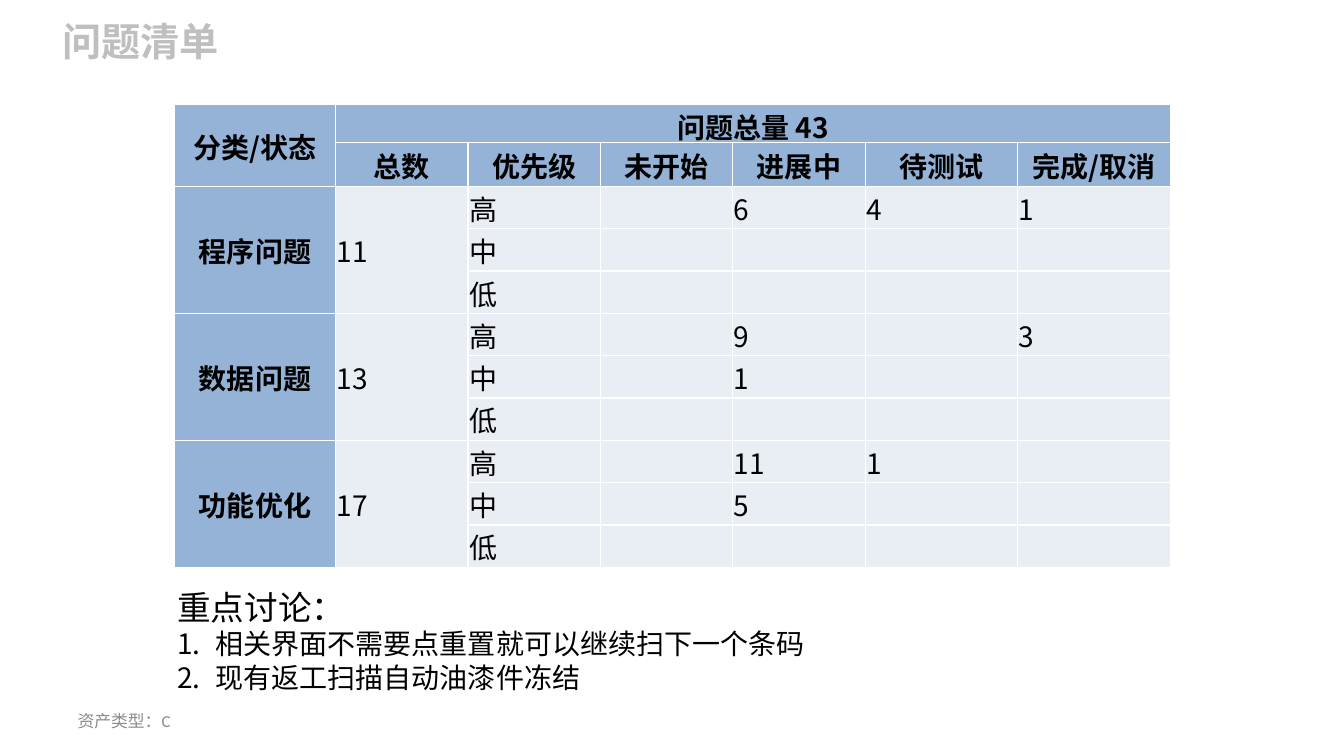
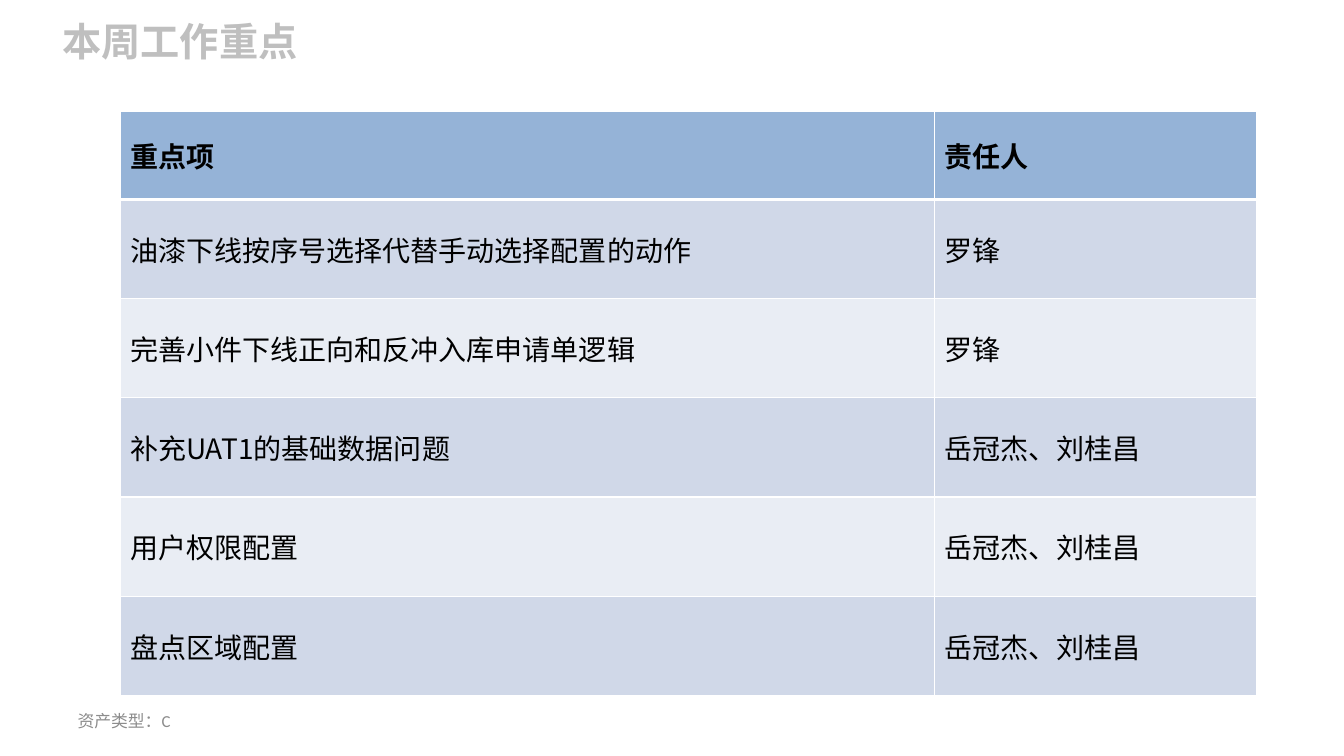
from pptx import Presentation
from pptx.dml.color import RGBColor
from pptx.enum.text import MSO_ANCHOR, MSO_AUTO_SIZE, PP_ALIGN
from pptx.oxml.ns import qn
from pptx.util import Inches, Pt
from lxml.etree import SubElement, Element

BLACK = RGBColor(0x00, 0x00, 0x00)
WHITE = RGBColor(0xFF, 0xFF, 0xFF)
TITLE_GRAY = RGBColor(0xBF, 0xBF, 0xBF)
FOOTER_GRAY = RGBColor(0x8C, 0x8C, 0x8C)
HEADER_BLUE = RGBColor(0x95, 0xB3, 0xD7)
BAND_DARK = RGBColor(0xD0, 0xD8, 0xE8)
BAND_LIGHT = RGBColor(0xE9, 0xED, 0xF4)
LATIN, CJK = "Calibri", "Noto Sans CJK SC"

TITLE = dict(size=Pt(28), name=LATIN, bold=True, color=TITLE_GRAY)
FOOTER = dict(size=Pt(12), name=LATIN, bold=False, color=FOOTER_GRAY)
HEADING = dict(size=Pt(24), name=CJK, bold=False, color=BLACK)
BODY = dict(HEADING, size=Pt(20))
STRONG = dict(BODY, bold=True)
TIGHT = dict(margin_left=Inches(0.01), margin_top=Inches(0.01),
             margin_right=Inches(0.01), margin_bottom=0)


def apply(target, values):
    for key, value in values.items():
        setattr(target, key, value)


class Deck:
    def __init__(self):
        self.prs = Presentation()
        self.prs.slide_width, self.prs.slide_height = Inches(13.33), Inches(7.5)
        self.s = None

    def x(self, percent):
        return int(self.prs.slide_width * percent / 100)

    def y(self, percent):
        return int(self.prs.slide_height * percent / 100)

    def box(self, left, top, width, height):
        return self.x(left), self.y(top), self.x(width), self.y(height)

    def run(self, p, text, style):
        r = p.add_run()
        r.text = text
        for key, value in style.items():
            if key == "color":
                r.font.color.rgb = value
            else:
                setattr(r.font, key, value)
        SubElement(r.font._element, qn("a:ea"), typeface=CJK)

    def slide(self, title):
        self.s = self.prs.slides.add_slide(self.prs.slide_layouts[5])
        sp = self.s.shapes.title
        apply(sp, dict(zip(("left", "top", "width", "height"),
                           self.box(3.9, 1.6, 74.87, 7.6))))
        tf = sp.text_frame
        apply(tf, dict(vertical_anchor=MSO_ANCHOR.TOP, word_wrap=True,
                       auto_size=MSO_AUTO_SIZE.NONE))
        tf.paragraphs[0].alignment = PP_ALIGN.LEFT
        self.run(tf.paragraphs[0], title, TITLE)
        self.text((5.03, 92.67, 23.33, 5.33), [("资产类型：C", FOOTER, False)],
                  MSO_ANCHOR.MIDDLE)

    def text(self, place, lines, anchor=MSO_ANCHOR.TOP):
        tf = self.s.shapes.add_textbox(*self.box(*place)).text_frame
        apply(tf, dict(word_wrap=True, vertical_anchor=anchor))
        for i, (text, style, numbered) in enumerate(lines):
            p = tf.add_paragraph() if i else tf.paragraphs[0]
            if numbered:
                self.number(p)
            self.run(p, text, style)

    def number(self, p):
        pPr = p._p.get_or_add_pPr()
        pPr.set("marL", str(Inches(0.38)))
        pPr.set("indent", str(-Inches(0.38)))
        SubElement(pPr, qn("a:buAutoNum"), type="arabicPeriod")

    def table(self, left, top, cols, rows):
        place = self.box(left, top, sum(cols), sum(rows))
        table = self.s.shapes.add_table(len(rows), len(cols), *place).table
        for col, width in zip(table.columns, cols):
            col.width = self.x(width)
        for row, height in zip(table.rows, rows):
            row.height = self.y(height)
        return table

    def cell(self, cell, text, style, fill, align=PP_ALIGN.LEFT, margins=None, top=1, bottom=1):
        apply(cell, dict(margins or {}, vertical_anchor=MSO_ANCHOR.MIDDLE))
        cell.fill.solid()
        cell.fill.fore_color.rgb = fill
        p = cell.text_frame.paragraphs[0]
        p.alignment = align
        if text:
            self.run(p, text, style)
        else:
            SubElement(p._p, qn("a:endParaRPr"), sz=str(int(style["size"].pt * 100)))
        tcPr = cell._tc.get_or_add_tcPr()
        for i, (side, width) in enumerate(dict(L=1, R=1, T=top, B=bottom).items()):
            ln = Element(qn(f"a:ln{side}"), w=str(Pt(width)))
            SubElement(SubElement(ln, qn("a:solidFill")), qn("a:srgbClr"), val=str(WHITE))
            tcPr.insert(i, ln)


deck = Deck()

deck.slide("问题清单")
issues = [
    ["分类/状态", "问题总量 43", "", "", "", "", ""],
    ["", "总数", "优先级", "未开始", "进展中", "待测试", "完成/取消"],
    ["程序问题", "11", "高", "", "6", "4", "1"],
    ["", "", "中", "", "", "", ""],
    ["", "", "低", "", "", "", ""],
    ["数据问题", "13", "高", "", "9", "", "3"],
    ["", "", "中", "", "1", "", ""],
    ["", "", "低", "", "", "", ""],
    ["功能优化", "17", "高", "", "11", "1", ""],
    ["", "", "中", "", "5", "", ""],
    ["", "", "低", "", "", "", ""],
]
table = deck.table(12.98, 13.87, [12] + [9.85] * 4 + [11.35] * 2, [4.93, 5.87] + [5.6] * 9)
for i, row in enumerate(issues):
    for j, text in enumerate(row):
        head = i < 2 or j == 0
        deck.cell(table.cell(i, j), text, STRONG if head else BODY,
                  HEADER_BLUE if head else BAND_LIGHT,
                  PP_ALIGN.CENTER if head else PP_ALIGN.LEFT, TIGHT)
table.cell(0, 0).merge(table.cell(1, 0))
table.cell(0, 1).merge(table.cell(0, 6))
for i in range(2, 11, 3):
    for j in range(2):
        table.cell(i, j).merge(table.cell(i + 2, j))
deck.text((12.45, 76.93, 73.13, 15.73), [
    ("重点讨论：", HEADING, False),
    ("相关界面不需要点重置就可以继续扫下一个条码", BODY, True),
    ("现有返工扫描自动油漆件冻结", BODY, True),
])

deck.slide("本周工作重点")
tasks = [
    ("重点项", "责任人"),
    ("油漆下线按序号选择代替手动选择配置的动作", "罗锋"),
    ("完善小件下线正向和反冲入库申请单逻辑", "罗锋"),
    ("补充UAT1的基础数据问题", "岳冠杰、刘桂昌"),
    ("用户权限配置", "岳冠杰、刘桂昌"),
    ("盘点区域配置", "岳冠杰、刘桂昌"),
]
table = deck.table(8.93, 14.8, [60.6, 23.93], [11.6] + [13.12] * 5)
for i, row in enumerate(tasks):
    fill = (BAND_DARK if i % 2 else BAND_LIGHT) if i else HEADER_BLUE
    for j, text in enumerate(row):
        deck.cell(table.cell(i, j), text, BODY if i else STRONG, fill,
                  top=3 if i == 1 else 1, bottom=1 if i else 3)

deck.prs.save("out.pptx")
